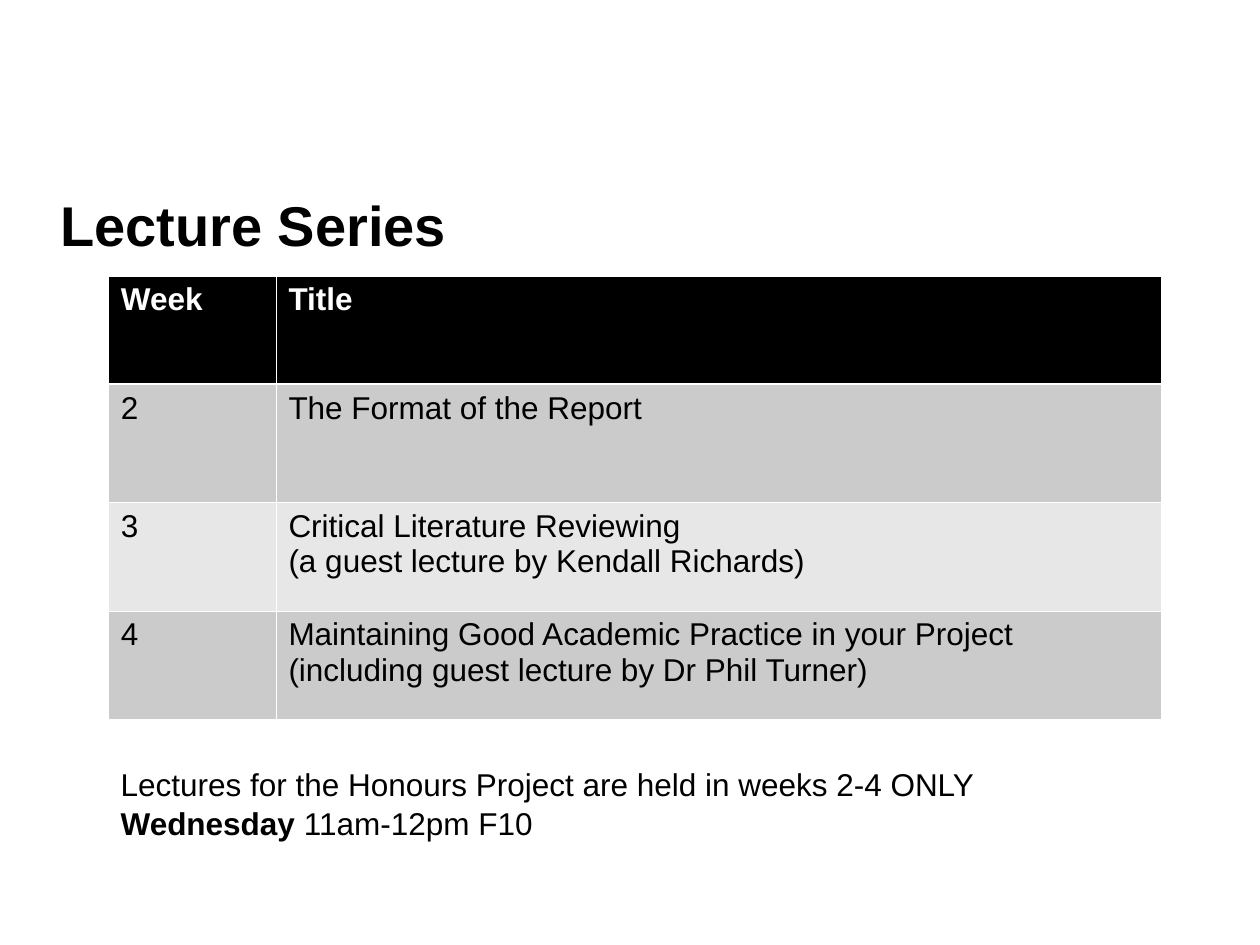
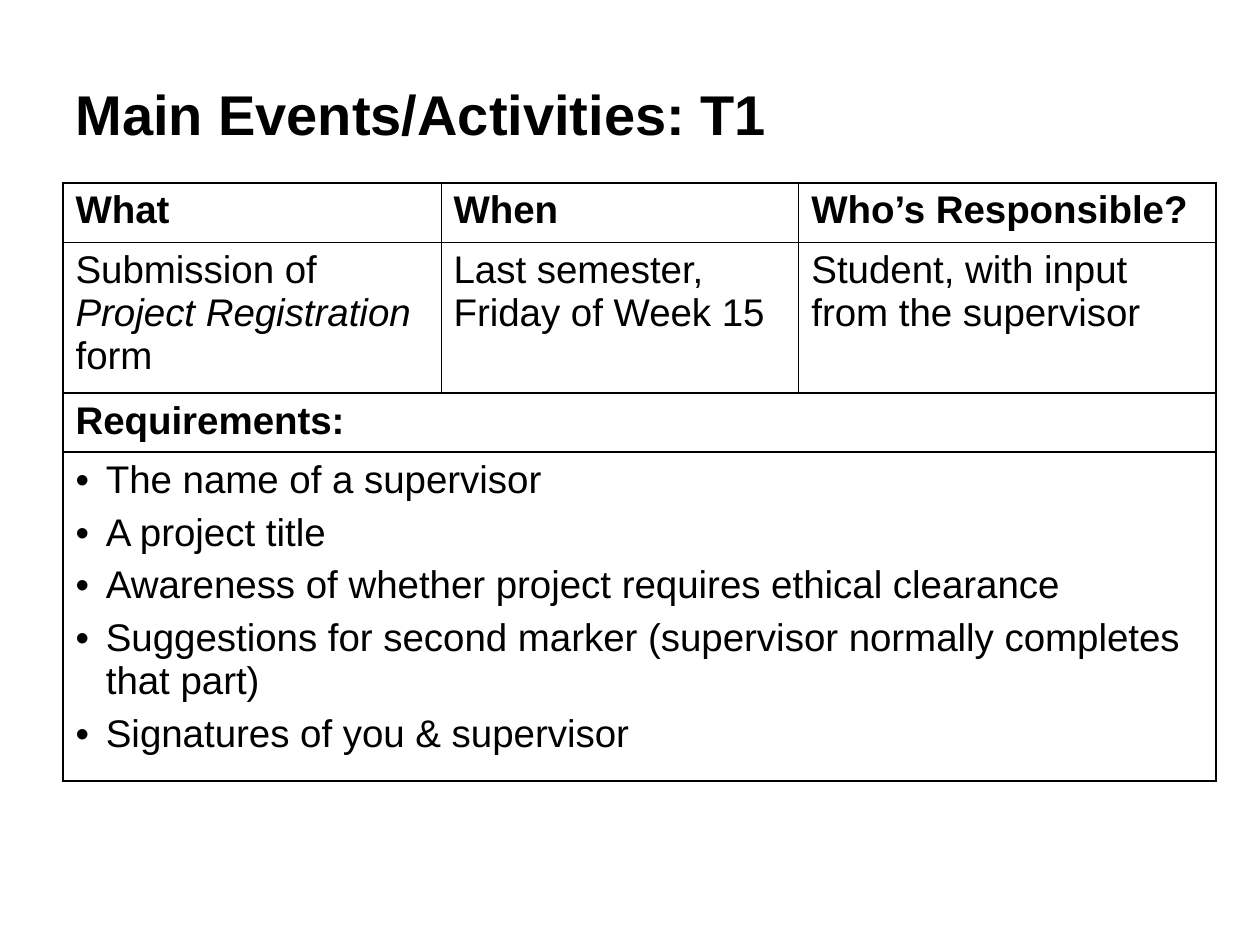
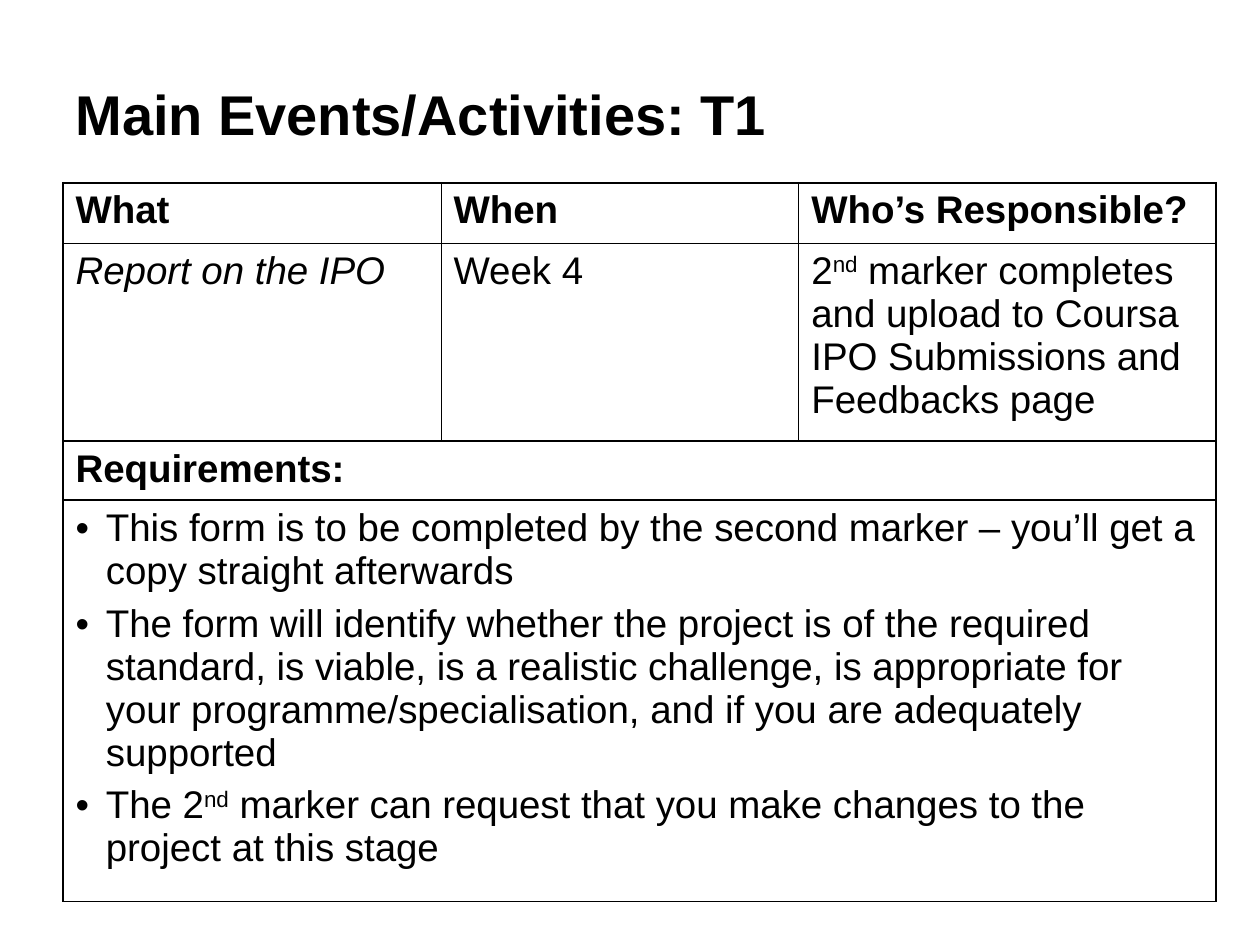
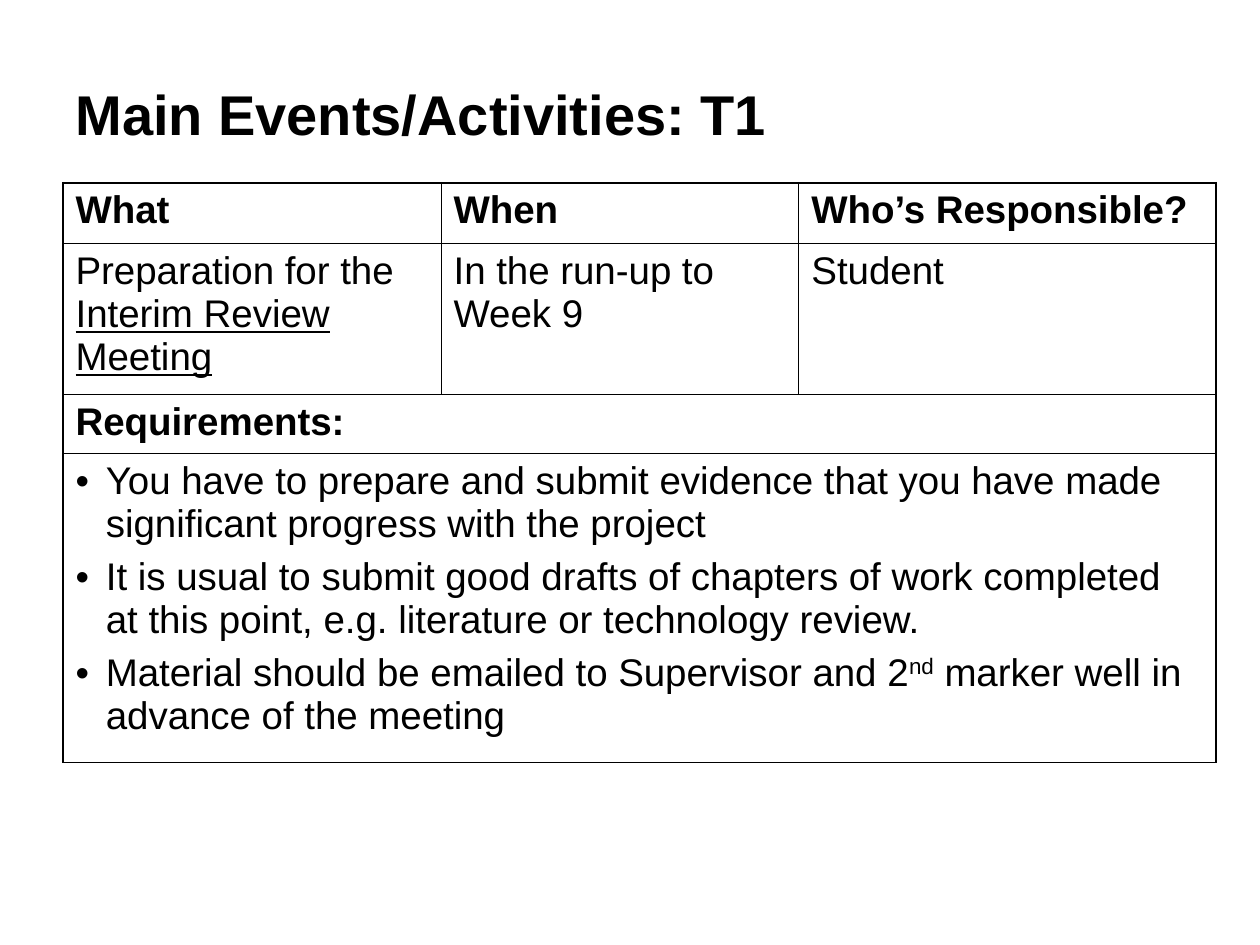
import pptx
import pptx.util
import pptx.dml.color
import pptx.enum.text
from lxml import etree

Inch, Pt = pptx.util.Inches, pptx.util.Pt
WIDE, HIGH = 10, 7.5
FONT, BLACK, WHITE = "Arial", "000000", "FFFFFF"
DARK, LIGHT = "CBCBCB", "E7E7E7"
PLAIN = "{2D5ABB26-0587-4C30-8999-92F81FD0307C}"
THIN, MID, THICK = 0.45, 1.08, 1.47
BOLD = {"bold": True}

# A paragraph is a string or a list of strings and (string, format) pairs.
ND = ("nd", {"base": 30})
LECTURES = [
    ("Week", ["Title"]),
    ("2", ["The Format of the Report"]),
    ("3", ["Critical Literature Reviewing",
           "(a guest lecture by Kendall Richards)"]),
    ("4", ["Maintaining Good Academic Practice in your Project",
           "(including guest lecture by Dr Phil Turner)"]),
]
NOTES = ["Lectures for the Honours Project are held in weeks 2-4 ONLY",
         [("Wednesday", BOLD), " 11am-12pm F10"]]

EVENT = "Main Events/Activities: T1"
HEADS = ["What", "When", "Who’s Responsible?"]
EVENTS = [
    {"rows": [0.47, 1.2, 0.47, 2.61],
     "facts": [["Submission of ", ("Project Registration ", {"italic": True}), "form"],
               "Last semester, Friday of Week 15",
               "Student, with input from the supervisor"],
     "needs": ["The name of a supervisor",
               "A project title",
               "Awareness of whether project requires ethical clearance",
               "Suggestions for second marker (supervisor normally completes that part)",
               "Signatures of you & supervisor"]},
    {"rows": [0.48, 1.57, 0.47, 2.82],
     "facts": [[("Report on the IPO", {"italic": True})],
               "Week 4",
               ["2", ND, " marker completes and upload to Coursa "
                "IPO Submissions and Feedbacks page"]],
     "needs": ["This form is to be completed by the second marker – you’ll get a copy "
               "straight afterwards",
               "The form will identify whether the project is of the required standard, "
               "is viable, is a realistic challenge, is appropriate for your "
               "programme/specialisation, and if you are adequately supported",
               ["The 2", ND, " marker can request that you make changes to the project "
                "at this stage"]]},
    {"rows": [0.48, 1.2, 0.47, 2.45],
     "facts": [["Preparation for the ", ("Interim Review Meeting", {"underline": True})],
               "In the run-up to Week 9",
               "Student"],
     "needs": ["You have to prepare and submit evidence that you have made significant "
               "progress with the project",
               "It is usual to submit good drafts of chapters of work completed at this "
               "point, e.g. literature or technology review.",
               ["Material should be emailed to Supervisor and 2", ND,
                " marker well in advance of the meeting"]]},
]


def tint(code):
    return pptx.dml.color.RGBColor.from_string(code)


def tag(host, name, **attrs):
    return etree.SubElement(host, pptx.oxml.ns.qn("a:" + name), attrs)


def write(frame, paras, size=18, color=BLACK, bold=False, before=0, hang=0, bullet=None):
    """Fill a text frame; hang is the depth of a hanging indent in inches."""
    for n, parts in enumerate(paras):
        para = frame.add_paragraph() if n else frame.paragraphs[0]
        para.space_before = Pt(before)
        props = para._p.get_or_add_pPr()
        if hang:
            props.set("marL", str(Inch(hang)))
            props.set("indent", str(-Inch(hang)))
        if bullet:
            tag(tag(props, "buClr"), "srgbClr", val=color)
            tag(props, "buFont", typeface=FONT)
            tag(props, "buChar", char=bullet)
        for part in [parts] if isinstance(parts, str) else parts:
            text, form = (part, {}) if isinstance(part, str) else part
            run = para.add_run()
            run.text = text
            font = run.font
            font.name, font.size = FONT, Pt(size)
            font.color.rgb = tint(color)
            font.bold = form.get("bold", bold)
            font.italic = form.get("italic")
            font.underline = form.get("underline")
            if "base" in form:
                run._r.get_or_add_rPr().set("baseline", str(form["base"] * 1000))


def label(slide, box, paras, middle=False, **form):
    frame = slide.shapes.add_textbox(*map(Inch, box)).text_frame
    frame.word_wrap = True
    if middle:
        frame.vertical_anchor = pptx.enum.text.MSO_ANCHOR.MIDDLE
    write(frame, paras, **form)


def title(slide, text, left, top):
    """Place a title with the same margin at both sides."""
    label(slide, (left, top, WIDE - 2 * left, 0.76), [text],
          middle=True, size=32, bold=True)


def grid(slide, left, top, cols, rows):
    frame = slide.shapes.add_table(len(rows), len(cols), Inch(left), Inch(top),
                                   Inch(sum(cols)), Inch(sum(rows)))
    table = frame.table
    table.first_row = table.horz_banding = False
    table._tbl.tblPr.find(pptx.oxml.ns.qn("a:tableStyleId")).text = PLAIN
    for parts, sizes, side in ((table.columns, cols, "width"), (table.rows, rows, "height")):
        for part, size in zip(parts, sizes):
            setattr(part, side, Inch(size))
    return table


def rule(table, across, down, color):
    """Draw cell borders from the widths of the lines across and down."""
    for r in range(len(table.rows)):
        for c in range(len(table.columns)):
            cell = table.cell(r, c)
            if cell.is_spanned:
                continue
            end = c + (cell.span_width if cell.is_merge_origin else 1)
            props = cell._tc.get_or_add_tcPr()
            edges = {"L": down[c], "R": down[end], "T": across[r], "B": across[r + 1]}
            for side, width in edges.items():
                line = tag(props, "ln" + side, w=str(Pt(width)))
                tag(tag(line, "solidFill"), "srgbClr", val=color)


def lectures(slide):
    title(slide, "Lecture Series", 0.38, 1.4)
    table = grid(slide, 0.86, 2.19, [1.33, 7.03], [0.86, 0.94, 0.86, 0.86])
    rule(table, [THIN, THICK, THIN, THIN, THIN], [THIN] * 3, WHITE)
    for r, (week, topic) in enumerate(LECTURES):
        head = r == 0
        fill = BLACK if head else DARK if r % 2 else LIGHT
        for c, paras in enumerate(([week], topic)):
            cell = table.cell(r, c)
            cell.fill.solid()
            cell.fill.fore_color.rgb = tint(fill)
            write(cell.text_frame, paras, color=WHITE if head else BLACK, bold=head)
    label(slide, (0.86, 6.02, 8.2, 0.7), NOTES, hang=0.58, before=1)


def event(slide, data):
    title(slide, EVENT, 0.5, 0.52)
    table = grid(slide, 0.5, 1.45, [3, 2.84, 3.31], data["rows"])
    for r in (2, 3):
        table.cell(r, 0).merge(table.cell(r, 2))
    rule(table, [MID, THIN, MID, MID, MID], [MID, THIN, THIN, MID], BLACK)
    cells = [[[head] for head in HEADS], [[fact] for fact in data["facts"]],
             [["Requirements:"]], [data["needs"]]]
    for r, row in enumerate(cells):
        form = {"hang": 0.24, "bullet": "•"} if r == 3 else {}
        for c, paras in enumerate(row):
            cell = table.cell(r, c)
            cell.fill.background()
            write(cell.text_frame, paras, size=22, bold=r in (0, 2), before=5.5, **form)


def main():
    deck = pptx.Presentation()
    deck.slide_width, deck.slide_height = Inch(WIDE), Inch(HIGH)
    blank = deck.slide_layouts[6]
    lectures(deck.slides.add_slide(blank))
    for data in EVENTS:
        event(deck.slides.add_slide(blank), data)
    deck.save("out.pptx")


if __name__ == "__main__":
    main()
